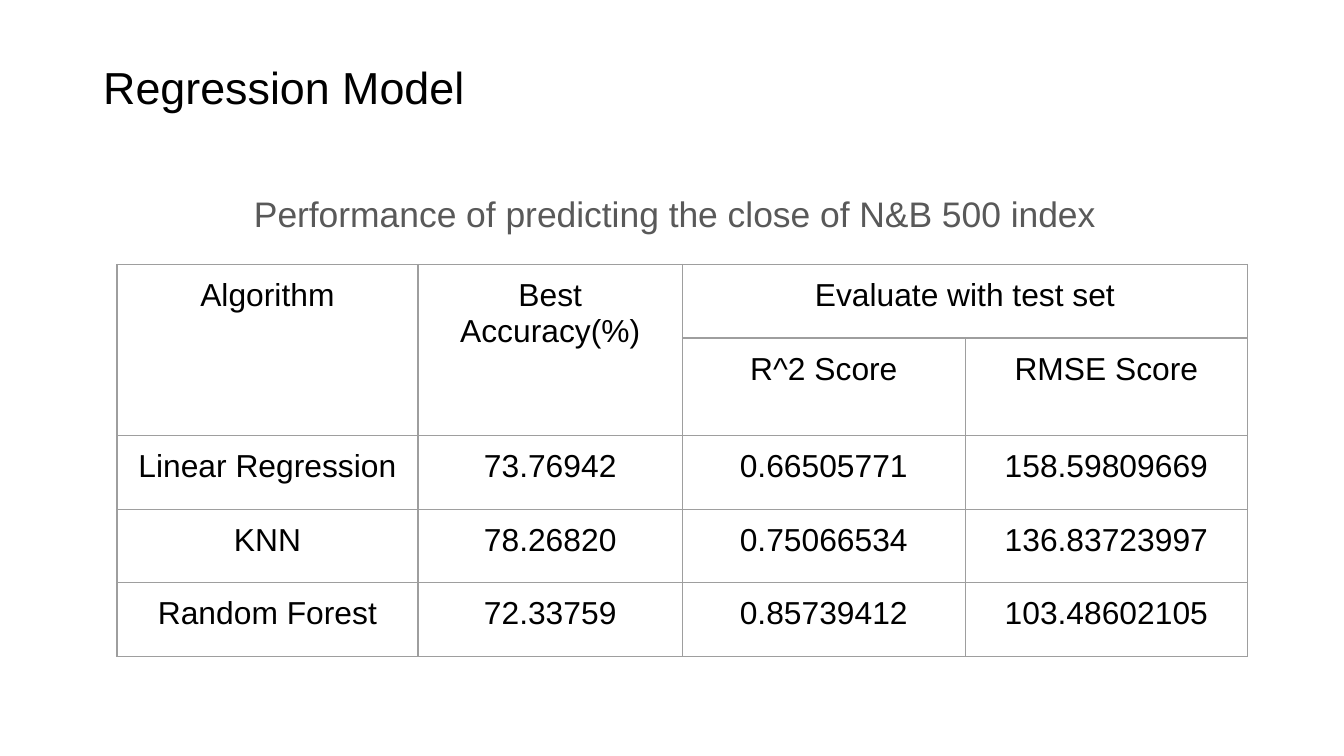
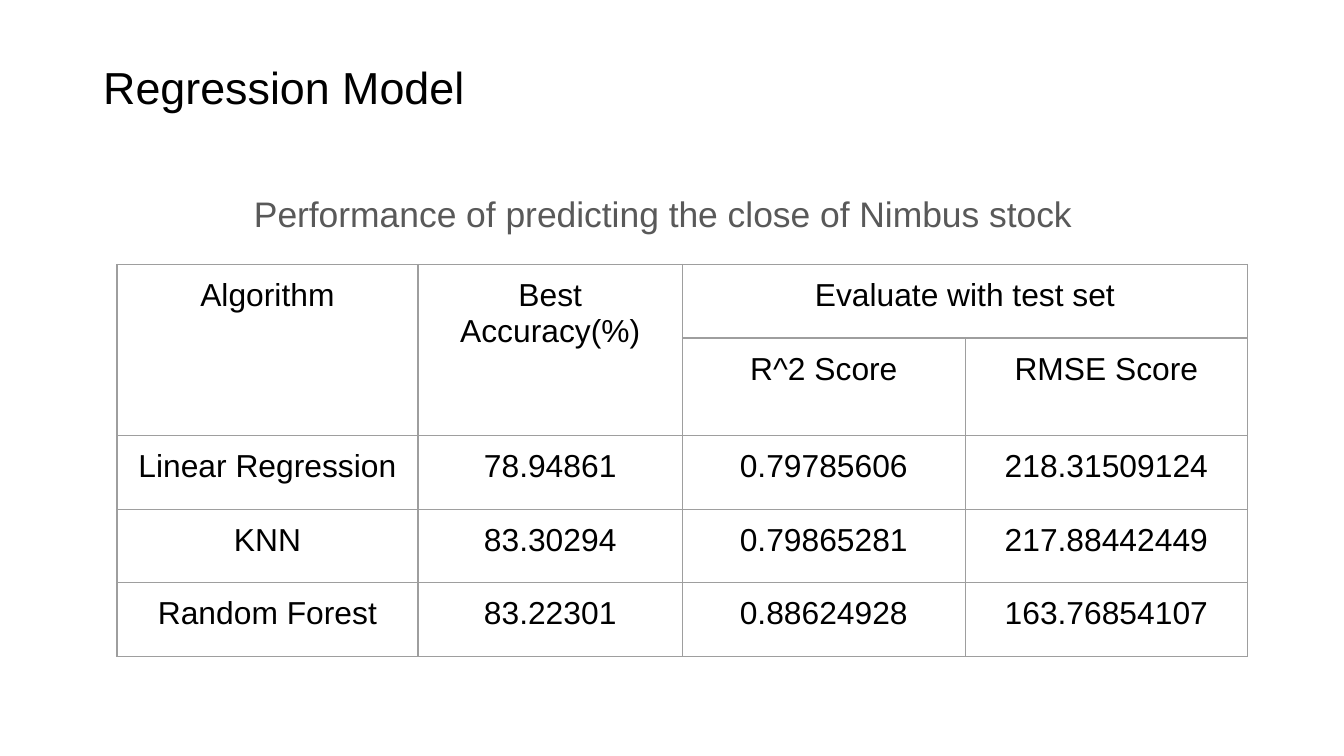
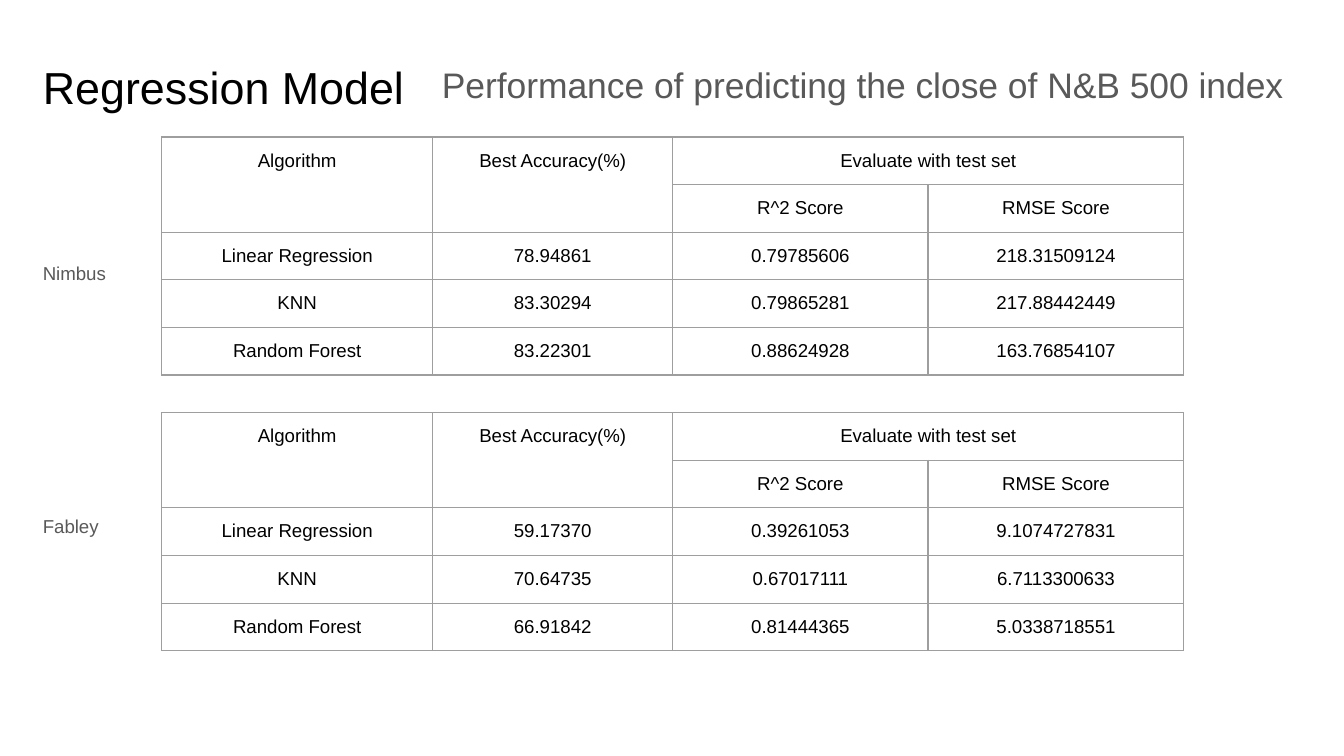
from lxml.etree import SubElement
from pptx import Presentation
from pptx.dml.color import RGBColor as Rgb
from pptx.enum.text import MSO_ANCHOR as Anchor, MSO_AUTO_SIZE as Fit, PP_ALIGN as Align
from pptx.oxml.ns import qn
from pptx.util import Cm, Pt

# Content
TITLE = "Regression Model"
INDEX = "Performance of predicting the close of N&B 500 index"
STOCK = "Performance of predicting the close of Nimbus stock"
HEAD = [
    ("Algorithm", "Best Accuracy(%)", "Evaluate with test set", ""),
    ("", "", "R^2 Score", "RMSE Score"),
]
MODELS = ["Linear Regression", "KNN", "Random Forest"]
SCORES = {
    "index": [
        ("73.76942", "0.66505771", "158.59809669"),
        ("78.26820", "0.75066534", "136.83723997"),
        ("72.33759", "0.85739412", "103.48602105"),
    ],
    "Nimbus": [
        ("78.94861", "0.79785606", "218.31509124"),
        ("83.30294", "0.79865281", "217.88442449"),
        ("83.22301", "0.88624928", "163.76854107"),
    ],
    "Fabley": [
        ("59.17370", "0.39261053", "9.1074727831"),
        ("70.64735", "0.67017111", "6.7113300633"),
        ("66.91842", "0.81444365", "5.0338718551"),
    ],
}
MERGES = [((0, 0), (1, 0)), ((0, 1), (1, 1)), ((0, 2), (0, 3))]

# Shared style, lengths in cm
FONT = "Arial"
COLORS = {"ink": "000000", "gray": "595959", "rule": "9E9E9E"}
INSET = 0.25
LARGE = {"size": 17, "cols": [5.69, 5, 5.34, 5.34], "rows": [1.39, 1.85, 1.39, 1.39, 1.39]}
SMALL = {"size": 10, "cols": [5.13, 4.53, 4.83, 4.83], "rows": [0.9] * 5}

# Slides: title left, subtitle box, table style and left, tables (key, top, label top)
SLIDES = [
    (1.7, INDEX, (4.55, 3.33, 16.84, 1.5), LARGE, 2.21, [("index", 5, None)]),
    (1.7, STOCK, (4.55, 3.33, 16.84, 1.5), LARGE, 2.21, [("Nimbus", 5, None)]),
    (0.56, INDEX, (8.1, 0.89, 16.71, 1.5), SMALL, 3.05,
     [("Nimbus", 2.59, 4.67), ("Fabley", 7.8, 9.45)]),
]


def style(para, size, color, align=Align.LEFT):
    para.alignment = align
    for run in para.runs:
        font = run.font
        font.name, font.size = FONT, Pt(size)
        font.color.rgb = Rgb.from_string(COLORS[color])


def fill_box(shape, box, text, size, color, anchor=Anchor.TOP):
    shape.left, shape.top, shape.width, shape.height = map(Cm, box)
    frame = shape.text_frame
    frame.text = text
    frame.word_wrap, frame.auto_size = True, Fit.NONE
    frame.vertical_anchor = anchor
    frame.margin_left = frame.margin_right = Cm(INSET)
    frame.margin_top = frame.margin_bottom = Cm(INSET)
    style(frame.paragraphs[0], size, color)
    return frame.paragraphs[0]


def add_note(slide, box, text, size):
    note = slide.shapes.add_textbox(0, 0, 0, 0)
    fill_box(note, box, text, size, "gray").line_spacing = 1.07


def style_cell(cell, text, size):
    cell.text = text
    cell.margin_left = cell.margin_right = Cm(INSET)
    cell.margin_top = cell.margin_bottom = Cm(INSET)
    para = cell.text_frame.paragraphs[0]
    style(para, size, "ink", Align.CENTER)
    # Keeps empty merged cells from stretching their row
    SubElement(para._p, qn("a:endParaRPr"), sz=str(size * 100))
    # Borders come before the fill
    props = cell._tc.get_or_add_tcPr()
    for side in "LRTB":
        line = SubElement(props, qn("a:ln" + side), w=str(Pt(0.75)))
        solid = SubElement(line, qn("a:solidFill"))
        SubElement(solid, qn("a:srgbClr"), val=COLORS["rule"])
    cell.fill.background()


def add_grid(slide, key, left, top, look):
    data = HEAD + [(name, *row) for name, row in zip(MODELS, SCORES[key])]
    cols, rows = look["cols"], look["rows"]
    grid = slide.shapes.add_table(len(rows), len(cols), Cm(left), Cm(top),
                                  Cm(sum(cols)), Cm(sum(rows))).table
    grid.first_row = grid.horz_banding = False
    for col, width in zip(grid.columns, cols):
        col.width = Cm(width)
    for row, height, texts in zip(grid.rows, rows, data):
        row.height = Cm(height)
        for cell, text in zip(row.cells, texts):
            style_cell(cell, text, look["size"])
    for start, end in MERGES:
        grid.cell(*start).merge(grid.cell(*end))


def main():
    deck = Presentation()
    deck.slide_width, deck.slide_height = Cm(25.4), Cm(14.29)
    for left, sub, box, look, edge, tables in SLIDES:
        slide = deck.slides.add_slide(deck.slide_layouts[5])
        fill_box(slide.shapes.title, (left, 0.81, 21.11, 1.65), TITLE, 24, "ink", Anchor.MIDDLE)
        add_note(slide, box, sub, 19)
        for key, top, mark in tables:
            add_grid(slide, key, edge, top, look)
            if mark:
                add_note(slide, (left, mark, 2.06, 1.37), key, 10)
    deck.save("out.pptx")


if __name__ == "__main__":
    main()
